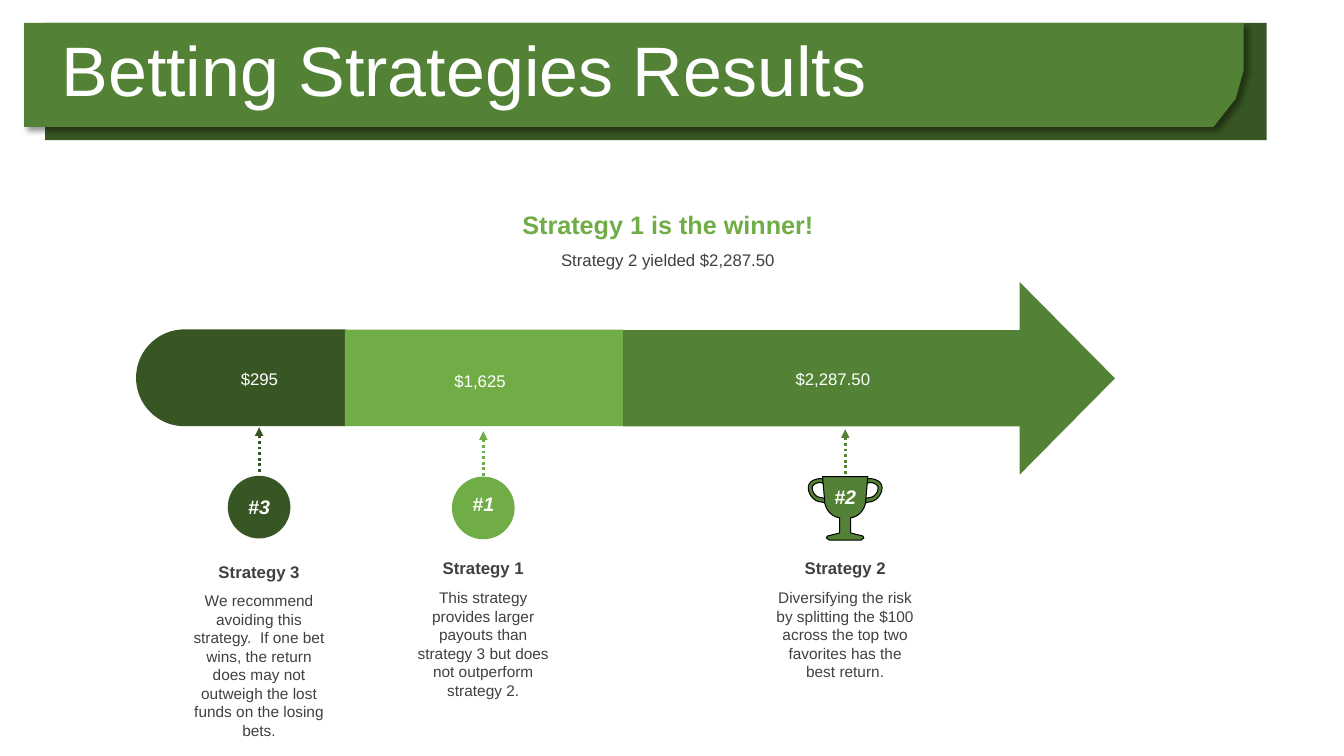
from dataclasses import dataclass
from typing import Optional

from pptx import Presentation
from pptx import oxml
from pptx import util as u
from pptx.dml.color import RGBColor
from pptx.enum import dml, shapes, text
from pptx.oxml import ns

DARK = RGBColor(0x37, 0x56, 0x23)
GREEN = RGBColor(0x53, 0x81, 0x35)
LIGHT = RGBColor(0x70, 0xAD, 0x47)
GREY = RGBColor(0x40, 0x40, 0x40)
WHITE = RGBColor(0xFF, 0xFF, 0xFF)
BLACK = RGBColor(0x00, 0x00, 0x00)

FONT = "Arial"
LABEL = 3.99   # width of a strategy label
MONEY = 3.33   # width of an amount label
DISC = 1.58    # diameter of a rank circle
STEM = 1.19    # length of a dotted arrow


@dataclass
class Plan:
    name: str
    note: str
    tint: RGBColor
    mid: float                 # centre line of the column
    top: float                 # top of the name
    tall: float                # height of the note
    stem: float                # tip of the dotted arrow
    cash: str
    cash_mid: float
    cash_top: float
    rank: str
    rank_top: Optional[float]  # top of a rank label outside the circle
    disc: Optional[float]      # top of the rank circle


PLANS = [
    Plan("Strategy 3", "We recommend avoiding this strategy.  If one bet wins, the return "
         "does may not outweigh the lost funds on the losing bets.",
         DARK, 6.53, 14.02, 4.01, 10.77, "$295", 6.54, 9.17, "#3", None, 11.99),
    Plan("Strategy 1", "This strategy provides larger payouts than strategy 3 but does "
         "not outperform strategy 2.",
         LIGHT, 12.18, 13.94, 3.12, 10.87, "$1,625", 12.1, 9.22, "#1", 12.27, 12.01),
    Plan("Strategy 2", "Diversifying the risk by splitting the $100 across the top two "
         "favorites has the best return.",
         GREEN, 21.3, 13.94, 2.62, 10.82, "$2,287.50", 20.99, 9.17, "#2", 12.09, None),
]

# Right halves of the trophy outlines, as distances from its axis and top:
# pairs are corners, sixes are curves (two controls and an end)
CUP = [(0.57, 0), (0.52, 0.58), (0.52, 0.79, 0.39, 0.96, 0.22, 1.02), (0.14, 1.04),
       (0.14, 1.42), (0.45, 1.5), (0.47, 1.55), (0.4, 1.6)]
GRIP = [(0, 0.23), (0.6, 0.05), (0.77, 0.05, 0.93, 0.13, 0.93, 0.28),
        (0.93, 0.46, 0.77, 0.64, 0.6, 0.64), (0, 0.79)]
HOLE = [(0, 0.33), (0.62, 0.15), (0.73, 0.15, 0.83, 0.21, 0.83, 0.28),
        (0.83, 0.41, 0.73, 0.53, 0.6, 0.53), (0, 0.69)]
CUP_TOP = 12.01

Points = list[tuple[float, float]]


def paint(shape, tint: RGBColor, edge: Optional[RGBColor] = None) -> None:
    shape.shadow.inherit = False
    shape.fill.solid()
    shape.fill.fore_color.rgb = tint
    if edge is None:
        shape.line.fill.background()
    else:
        shape.line.color.rgb = edge
        shape.line.width = u.Pt(0.75)


def block(slide, kind, left: float, top: float, wide: float, tall: float, tint: RGBColor):
    shape = slide.shapes.add_shape(kind, u.Cm(left), u.Cm(top), u.Cm(wide), u.Cm(tall))
    paint(shape, tint)
    return shape


def outline(slide, loops: list[Points], tint: RGBColor, edge: Optional[RGBColor] = None):
    loops = [[(u.Cm(x), u.Cm(y)) for x, y in loop] for loop in loops]
    pen = slide.shapes.build_freeform(*loops[0][0])
    pen.add_line_segments(loops[0][1:])
    for loop in loops[1:]:
        pen.move_to(*loop[0])
        pen.add_line_segments(loop[1:])
    shape = pen.convert_to_shape()
    paint(shape, tint, edge)
    return shape


def mirror(half: list[tuple], mid: float, top: float) -> Points:
    """Trace a right half, then close it with its reflection."""
    side: Points = []
    for step in half:
        if len(step) == 2:
            side.append(step)
            continue
        nodes = [side[-1], step[:2], step[2:4], step[4:]]
        for t in (i / 8 for i in range(1, 9)):
            mix = ((1 - t) ** 3, 3 * t * (1 - t) ** 2, 3 * t * t * (1 - t), t ** 3)
            side.append(tuple(sum(m * n[k] for m, n in zip(mix, nodes)) for k in (0, 1)))
    right = [(mid + x, top + y) for x, y in side]
    left = [(mid - x, top + y) for x, y in reversed(side)]
    return right + left + right[:1]


def write(shape, words: str, size: float, tint: RGBColor, bold: bool = False,
          slant: bool = False, side=text.PP_ALIGN.CENTER,
          hold=text.MSO_ANCHOR.TOP, wrap: bool = True):
    frame = shape.text_frame
    frame.word_wrap = wrap
    frame.vertical_anchor = hold
    para = frame.paragraphs[0]
    para.text = words
    para.alignment = side
    font = para.font
    font.name, font.size, font.bold, font.italic = FONT, u.Pt(size), bold, slant
    font.color.rgb = tint
    return para


def label(slide, left: float, top: float, wide: float, tall: float, *args, **style):
    box = slide.shapes.add_textbox(u.Cm(left), u.Cm(top), u.Cm(wide), u.Cm(tall))
    return write(box, *args, **style)


def stem(slide, plan: Plan) -> None:
    line = slide.shapes.add_connector(
        shapes.MSO_CONNECTOR.STRAIGHT, u.Cm(plan.mid), u.Cm(plan.stem),
        u.Cm(plan.mid), u.Cm(plan.stem + STEM))
    line.line.color.rgb = plan.tint
    line.line.width = u.Pt(2)
    line.line.dash_style = dml.MSO_LINE.ROUND_DOT
    props = line._element.spPr
    oxml.parse_xml  # parser stays with the banner shadow
    head = props.find(ns.qn("a:ln")).makeelement(ns.qn("a:headEnd"), {"type": "triangle"})
    props.find(ns.qn("a:ln")).append(head)
    props.append(props.makeelement(ns.qn("a:effectLst"), {}))


def banner(slide) -> None:
    block(slide, shapes.MSO_SHAPE.RECTANGLE, 1.14, 0.58, 30.78, 2.95, DARK)
    front = outline(slide, [[(0.61, 0.58), (31.34, 0.58), (31.34, 1.78), (31.14, 2.49),
                             (30.58, 3.2), (0.61, 3.2), (0.61, 0.58)]], GREEN)
    glow = oxml.parse_xml(
        f'<a:outerShdw {ns.nsdecls("a")} blurRad="{u.Pt(4)}" dist="{u.Pt(3)}" '
        'dir="2700000" algn="tl" rotWithShape="0"><a:srgbClr val="000000">'
        '<a:alpha val="40000"/></a:srgbClr></a:outerShdw>')
    front._element.spPr.find(ns.qn("a:effectLst")).append(glow)
    title = label(slide, 1.3, 0.91, 27.89, 2.01, "Betting Strategies Results", 50, WHITE,
                  side=text.PP_ALIGN.LEFT, hold=text.MSO_ANCHOR.MIDDLE)
    title.line_spacing = 0.8


def arrow(slide) -> None:
    tail = block(slide, shapes.MSO_SHAPE.ROUND_2_SAME_RECTANGLE, 4.85, 6.88, 2.44, 5.28, DARK)
    tail.adjustments[0], tail.adjustments[1] = 0.5, 0
    tail.rotation = 270
    head = block(slide, shapes.MSO_SHAPE.RIGHT_ARROW, 15.7, 7.11, 12.4, 4.85, GREEN)
    head.adjustments[0], head.adjustments[1] = 0.5, 0.495
    block(slide, shapes.MSO_SHAPE.RECTANGLE, 8.69, 8.31, 7.01, 2.43, LIGHT)


def column(slide, plan: Plan) -> None:
    # Rank badge: a circle, or the trophy
    badge = dict(bold=True, slant=True)
    if plan.disc is None:
        loops = [mirror(half, plan.mid, CUP_TOP) for half in (GRIP, HOLE)]
        outline(slide, loops, plan.tint, BLACK)
        outline(slide, [mirror(CUP, plan.mid, CUP_TOP)], plan.tint, BLACK)
    else:
        disc = block(slide, shapes.MSO_SHAPE.OVAL, plan.mid - DISC / 2, plan.disc,
                     DISC, DISC, plan.tint)
        if plan.rank_top is None:
            write(disc, plan.rank, 14, WHITE, hold=text.MSO_ANCHOR.MIDDLE, wrap=False, **badge)
    if plan.rank_top is not None:
        label(slide, plan.mid - DISC / 2, plan.rank_top, DISC, 0.86, plan.rank, 14, WHITE, **badge)

    # Dotted arrow, amount, name and note
    stem(slide, plan)
    label(slide, plan.cash_mid - MONEY / 2, plan.cash_top, MONEY, 0.76, plan.cash, 12, WHITE)
    left = plan.mid - LABEL / 2
    label(slide, left, plan.top, LABEL, 0.76, plan.name, 12, GREY, bold=True)
    label(slide, left, plan.top + 0.76, LABEL, plan.tall, plan.note, 11, GREY)


def main() -> None:
    deck = Presentation()
    deck.slide_width, deck.slide_height = u.Cm(33.87), u.Cm(19.05)
    slide = deck.slides.add_slide(deck.slide_layouts[6])
    banner(slide)
    # Headline
    win = label(slide, 10.74, 5.05, 12.19, 1.12, "Strategy 1 is the winner!", 18, LIGHT,
                bold=True, hold=text.MSO_ANCHOR.MIDDLE)
    win.line_spacing = 1.1
    label(slide, 10.74, 6.17, 12.19, 0.76, "Strategy 2 yielded $2,287.50", 12, GREY)
    arrow(slide)
    for plan in PLANS:
        column(slide, plan)
    deck.save("out.pptx")


if __name__ == "__main__":
    main()
